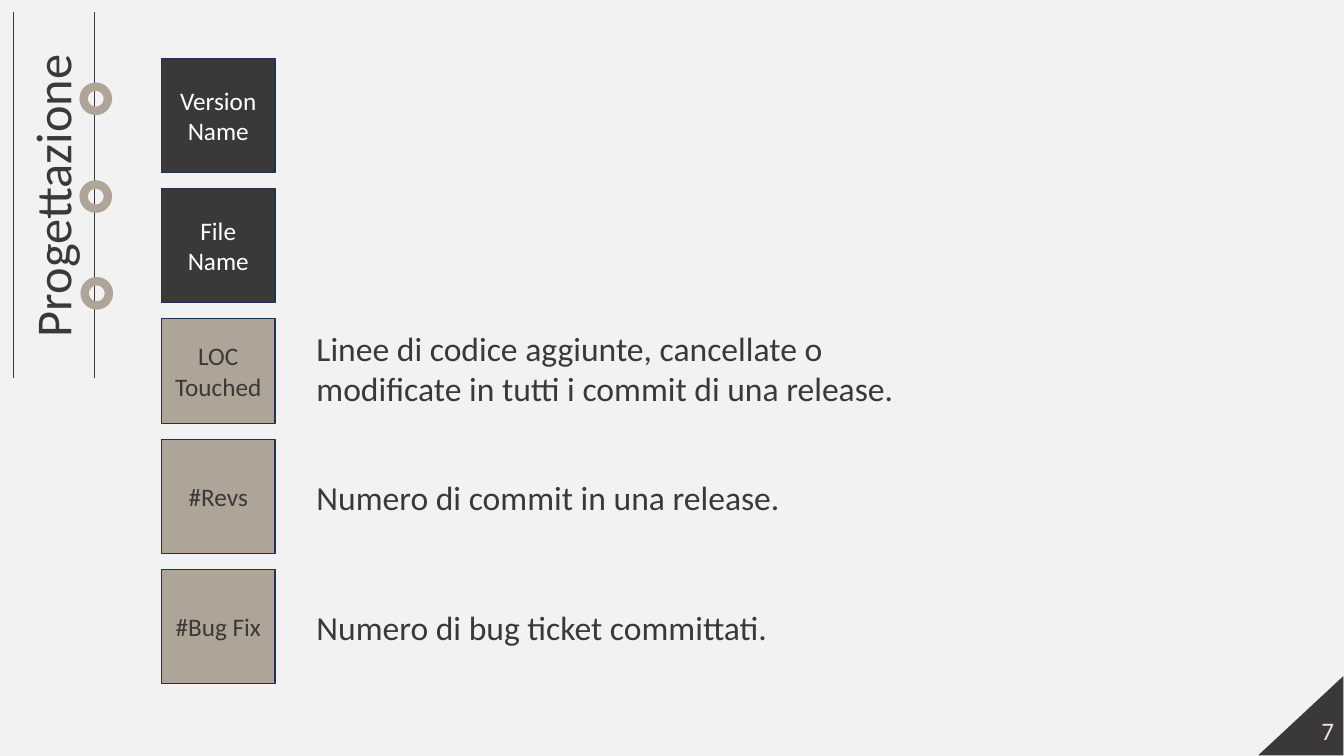
from pptx import Presentation
from pptx import util as u
from pptx.dml.color import RGBColor
from pptx.enum import shapes, text
from pptx.oxml.ns import qn
from lxml import etree

PAPER = RGBColor(0xF2, 0xF2, 0xF2)
DARK = RGBColor(0x3B, 0x38, 0x38)
SAND = RGBColor(0xAE, 0xA4, 0x98)
NAVY = RGBColor(0x1E, 0x32, 0x56)
WHITE = RGBColor(0xFF, 0xFF, 0xFF)
PALE = RGBColor(0xEB, 0xE4, 0xE3)

SHAPE = shapes.MSO_SHAPE
ALIGN = text.PP_ALIGN
ANCHOR = text.MSO_ANCHOR

TILE_LEFT, TILE_TOP, TILE_SIZE, TILE_GAP = 1.6, 0.58, 1.13, 0.16
NOTE_LEFT = 3.04

# label lines, tile height, fill, font colour
TILES = [
    (["Version", "Name"], TILE_SIZE, DARK, WHITE),
    (["File", "Name"], TILE_SIZE, DARK, WHITE),
    (["LOC", "Touched"], 1.04, SAND, DARK),
    (["#Revs"], TILE_SIZE, SAND, DARK),
    (["#Bug Fix"], TILE_SIZE, SAND, DARK),
]

# text, top, width, height
NOTES = [
    ("Linee di codice aggiunte, cancellate o modificate in tutti i commit "
     "di una release.", 3.2, 6.68, 0.91),
    ("Numero di commit in una release.", 4.68, 9.55, 0.5),
    ("Numero di bug ticket committati.", 5.97, 9.55, 0.5),
]


def inches(*values):
    return [u.Inches(v) for v in values]


def write(sp, lines, size, color, align=ALIGN.LEFT, anchor=ANCHOR.TOP):
    tf = sp.text_frame
    tf.word_wrap = True
    tf.vertical_anchor = anchor
    fmt = {"size": u.Pt(size), "name": "Calibri"}
    for i, line in enumerate(lines):
        p = tf.add_paragraph() if i else tf.paragraphs[0]
        p.alignment = align
        r = p.add_run()
        r.text = line
        r.font.color.rgb = color
        for key, value in fmt.items():
            setattr(r.font, key, value)


def add_figure(s, kind, box, fill, line, width=1):
    sp = s.shapes.add_shape(kind, *inches(*box))
    sp.shadow.inherit = False
    if fill is None:
        sp.fill.background()
    else:
        sp.fill.solid()
        sp.fill.fore_color.rgb = fill
    sp.line.color.rgb = line
    sp.line.width = u.Pt(width)
    return sp


def add_label(s, box, lines, size, color, **layout):
    sp = s.shapes.add_textbox(*inches(*box))
    write(sp, lines, size, color, **layout)
    return sp


def add_rule(s, x):
    cx = s.shapes.add_connector(shapes.MSO_CONNECTOR.STRAIGHT,
                                *inches(x, 3.75, x, 0.12))
    cx.line.color.rgb = DARK
    cx.line.width = u.Pt(0.5)
    etree.SubElement(cx._element.spPr, qn("a:effectLst"))


def add_tiles(s):
    top = TILE_TOP
    for lines, height, fill, color in TILES:
        sp = add_figure(s, SHAPE.RECTANGLE, (TILE_LEFT, top, TILE_SIZE, height),
                        fill, NAVY)
        write(sp, lines, 18, color, ALIGN.CENTER, ANCHOR.MIDDLE)
        top += height + TILE_GAP


def main():
    prs = Presentation()
    prs.slide_width, prs.slide_height = inches(13.33, 7.5)
    s = prs.slides.add_slide(prs.slide_layouts[6])

    # Background
    add_figure(s, SHAPE.RECTANGLE, (0, 0, 13.33, 7.5), PAPER, PAPER)

    # Side title between two rules, with rings on the right one
    for x in (0.13, 0.94):
        add_rule(s, x)
    for x, y in ((0.84, 2.79), (0.83, 1.83), (0.83, 0.86)):
        add_figure(s, SHAPE.OVAL, (x, y, 0.24, 0.24), None, SAND, 6)
    title = add_label(s, (-0.94, 1.44, 3.21, 1.01), ["Progettazione"], 36, DARK,
                      align=ALIGN.CENTER)
    title.rotation = 270

    # Metrics and their descriptions
    add_tiles(s)
    for note, top, width, height in NOTES:
        add_label(s, (NOTE_LEFT, top, width, height), [note], 24, DARK)

    # Page number corner
    corner = add_figure(s, SHAPE.ISOSCELES_TRIANGLE, (12.46, 6.69, 0.87, 0.81),
                        DARK, PAPER)
    corner.adjustments[0] = 1
    add_label(s, (10.33, 7.05, 3, 0.4), ["7"], 18, PALE,
              align=ALIGN.RIGHT, anchor=ANCHOR.MIDDLE)

    prs.save("out.pptx")


if __name__ == "__main__":
    main()
